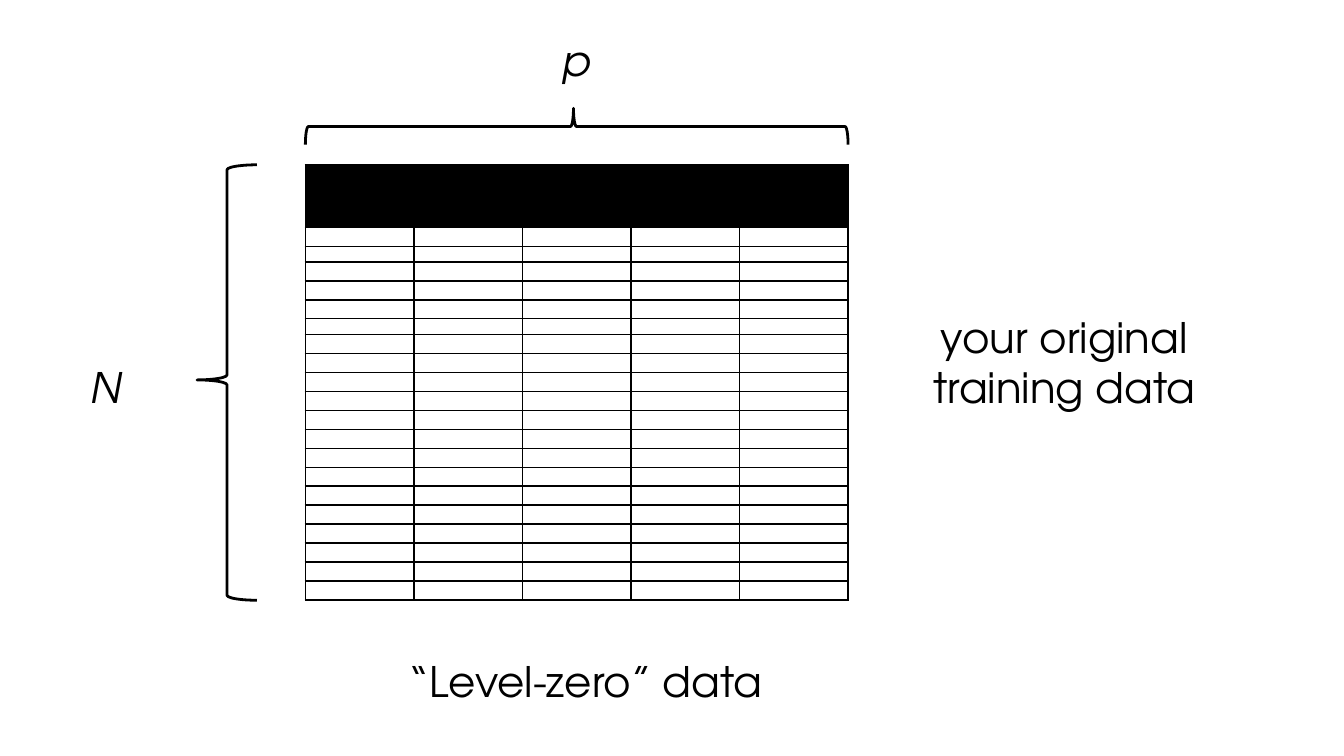
from lxml import etree
from pptx import Presentation
from pptx.dml.color import RGBColor
from pptx.enum import shapes, text
from pptx.oxml.ns import qn
from pptx.util import Emu, Inches, Pt

BLACK = RGBColor(0, 0, 0)
FONT = "TeX Gyre Adventor"
COLUMNS, BODY_ROWS = 5, 20
HEADER_HEIGHT, SHORT_HEIGHT = 1.24, 0.31
SHORT_ROWS = (2, 6)


def add_label(slide, box, lines, italic=False):
    tf = slide.shapes.add_textbox(*map(Inches, box)).text_frame
    tf.word_wrap = True
    tf.vertical_anchor = text.MSO_ANCHOR.MIDDLE
    tf.margin_left = tf.margin_right = Inches(0.06)
    tf.margin_top = tf.margin_bottom = Inches(0.06)
    tf.text = "\n".join(lines)
    for p in tf.paragraphs:
        p.alignment = text.PP_ALIGN.CENTER
        font = p.runs[0].font
        font.name, font.size, font.italic = FONT, Pt(60), italic
        font.color.rgb = BLACK


def add_brace(slide, box):
    sp = slide.shapes.add_shape(shapes.MSO_SHAPE.RIGHT_BRACE, *map(Inches, box))
    sp.adjustments[0], sp.adjustments[1] = 0.083, 0.494
    sp.shadow.inherit = False
    sp.fill.background()
    sp.line.color.rgb = BLACK
    sp.line.width = Pt(4)
    return sp


def add_row_brace(slide, box):
    """Brace that opens to the right, beside the rows."""
    sp = add_brace(slide, box)
    sp._element.spPr.find(qn("a:xfrm")).set("flipH", "1")


def add_column_brace(slide, box):
    """Brace that opens downwards, turned to fill the box above the columns."""
    x, y, w, h = box
    sp = add_brace(slide, (x + (w - h) / 2, y + (h - w) / 2, h, w))
    sp.rotation = 270


def set_borders(cell):
    tc_pr = cell._tc.get_or_add_tcPr()
    for i, side in enumerate("LRTB"):
        ln = etree.Element(qn(f"a:ln{side}"), w=str(Pt(2.25)))
        fill = etree.SubElement(ln, qn("a:solidFill"))
        etree.SubElement(fill, qn("a:srgbClr"), val=str(BLACK))
        tc_pr.insert(i, ln)


def add_data_table(slide, box):
    x, y, w, h = box
    table = slide.shapes.add_table(BODY_ROWS + 1, COLUMNS, *map(Inches, box)).table
    table.horz_banding = False
    for column in table.columns:
        column.width = Emu(int(Inches(w) / COLUMNS))
    short_total = SHORT_HEIGHT * len(SHORT_ROWS)
    body_height = (h - HEADER_HEIGHT - short_total) / (BODY_ROWS - len(SHORT_ROWS))
    for i, row in enumerate(table.rows):
        height = SHORT_HEIGHT if i in SHORT_ROWS else body_height
        row.height = Inches(height if i else HEADER_HEIGHT)
        for cell in row.cells:
            cell.margin_left = cell.margin_right = 0
            cell.margin_top = cell.margin_bottom = 0
            # Small empty text keeps the rows from growing
            cell.text_frame.paragraphs[0]._p.get_or_add_endParaRPr().set("sz", "800")
            if i:
                cell.fill.background()
            else:
                cell.fill.solid()
                cell.fill.fore_color.rgb = BLACK
            set_borders(cell)


def add_training_data(slide, box):
    """Data table with its braces and labels; the box is that of the table."""
    x, y, w, h = box
    add_data_table(slide, box)
    add_row_brace(slide, (x - 2.15, y, 1.19, h))
    add_label(slide, (x - 5.03, y + 3.85, 2.16, 1.12), ["N"], italic=True)
    add_label(slide, (x, y - 2.64, w, 1.12), ["p"], italic=True)
    add_column_brace(slide, (x, y - 1.12, w, 0.72))
    add_label(slide, (x + 0.17, y + h + 1.03, w, 1.12), ["“Level-zero” data"])
    add_label(slide, (x + w + 0.97, y + 2.84, 6.64, 2.13),
              ["your original", "training data"])


def main():
    prs = Presentation()
    prs.slide_width, prs.slide_height = Inches(26.67), Inches(15)
    slide = prs.slides.add_slide(prs.slide_layouts[6])
    add_training_data(slide, (6.06, 3.27, 10.77, 8.64))
    prs.save("out.pptx")


if __name__ == "__main__":
    main()
